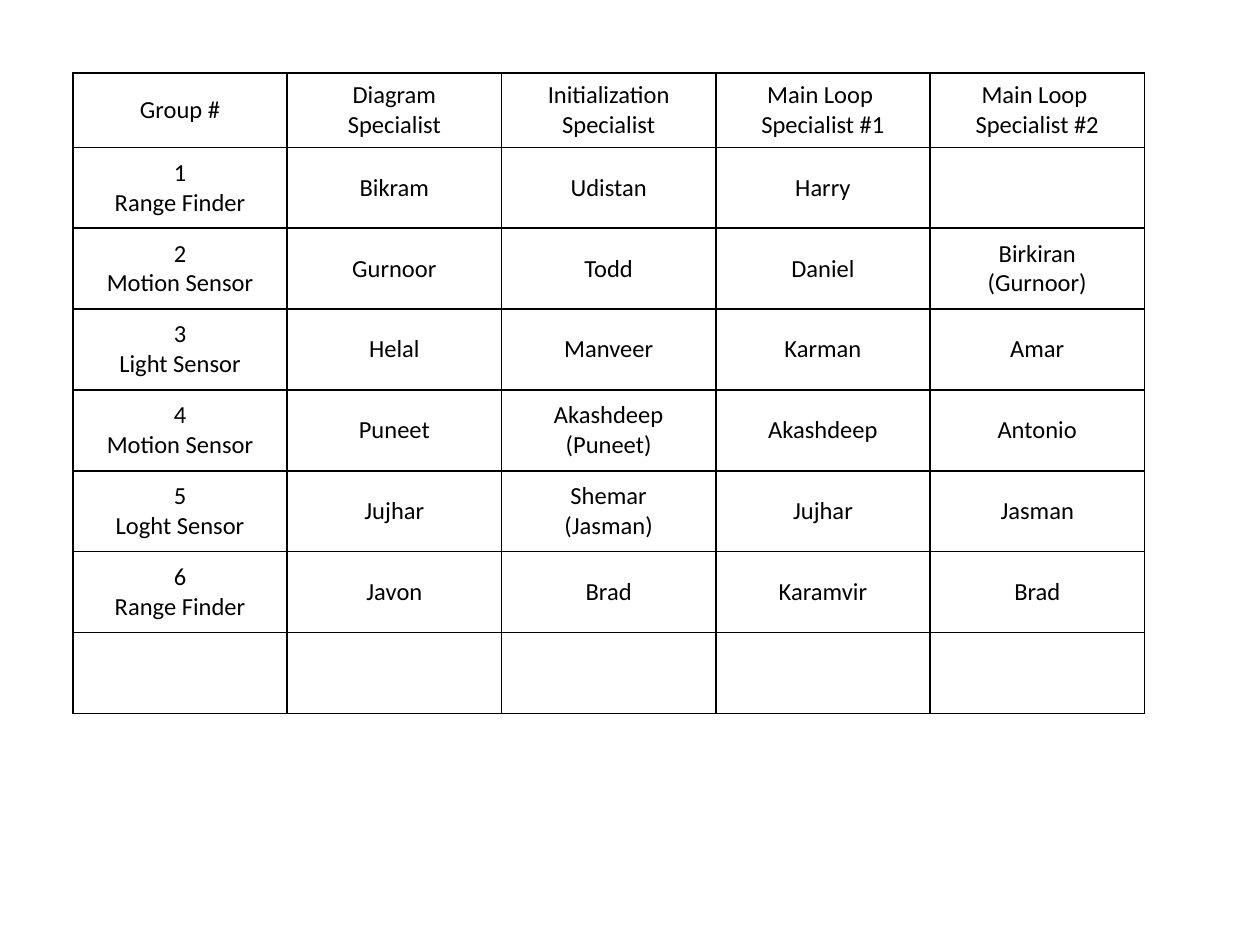
from lxml import etree
from pptx import Presentation
from pptx import util as u
from pptx.dml.color import RGBColor
from pptx.enum import text
from pptx.oxml.ns import qn

COLORS = {"text": "000000", "border": "000000"}
FONT = "Calibri"
TABLE_LEFT = TABLE_TOP = u.Cm(1.47)
COLUMN_WIDTH = u.Cm(4.32)
HEADER_HEIGHT = u.Cm(1.5)
GROUP_HEIGHT = u.Cm(1.63)

ROWS = [
    ["Group #", "Diagram\nSpecialist", "Initialization\nSpecialist",
     "Main Loop \nSpecialist #1", "Main Loop \nSpecialist #2"],
    ["1\nRange Finder", "Bikram", "Udistan", "Harry", ""],
    ["2\nMotion Sensor", "Gurnoor", "Todd", "Daniel", "Birkiran\n(Gurnoor)"],
    ["3\nLight Sensor", "Helal", "Manveer", "Karman", "Amar"],
    ["4\nMotion Sensor", "Puneet", "Akashdeep\n(Puneet)", "Akashdeep", "Antonio"],
    ["5\nLoght Sensor", "Jujhar", "Shemar\n(Jasman)", "Jujhar", "Jasman"],
    ["6\nRange Finder", "Javon", "Brad", "Karamvir", "Brad"],
    [""] * 5,
]


def add_borders(cell):
    properties = cell._tc.get_or_add_tcPr()
    for position, side in enumerate(("a:lnL", "a:lnR", "a:lnT", "a:lnB")):
        line = etree.Element(qn(side), w=str(u.Pt(1)))
        fill = etree.SubElement(line, qn("a:solidFill"))
        etree.SubElement(fill, qn("a:srgbClr"), val=COLORS["border"])
        properties.insert(position, line)


def fill_cell(cell, content):
    cell.fill.background()
    add_borders(cell)
    cell.vertical_anchor = text.MSO_ANCHOR.MIDDLE
    cell.text_frame.text = content
    for paragraph in cell.text_frame.paragraphs:
        paragraph.alignment = text.PP_ALIGN.CENTER
        for run in paragraph.runs:
            run.font.name = FONT
            run.font.size = u.Pt(14)
            run.font.bold = False
            run.font.color.rgb = RGBColor.from_string(COLORS["text"])


def add_group_table(slide):
    column_count = len(ROWS[0])
    height = HEADER_HEIGHT + GROUP_HEIGHT * (len(ROWS) - 1)
    table = slide.shapes.add_table(
        len(ROWS), column_count, TABLE_LEFT, TABLE_TOP,
        COLUMN_WIDTH * column_count, height).table
    table.first_row = False
    table.horz_banding = False
    for column in table.columns:
        column.width = COLUMN_WIDTH
    for index, contents in enumerate(ROWS):
        table.rows[index].height = GROUP_HEIGHT if index else HEADER_HEIGHT
        for cell, content in zip(table.rows[index].cells, contents):
            fill_cell(cell, content)


def main():
    presentation = Presentation()
    presentation.slide_width = u.Cm(25.4)
    presentation.slide_height = u.Cm(19.05)
    blank_layout = presentation.slide_layouts[6]
    slide = presentation.slides.add_slide(blank_layout)
    add_group_table(slide)
    presentation.save("out.pptx")


if __name__ == "__main__":
    main()
